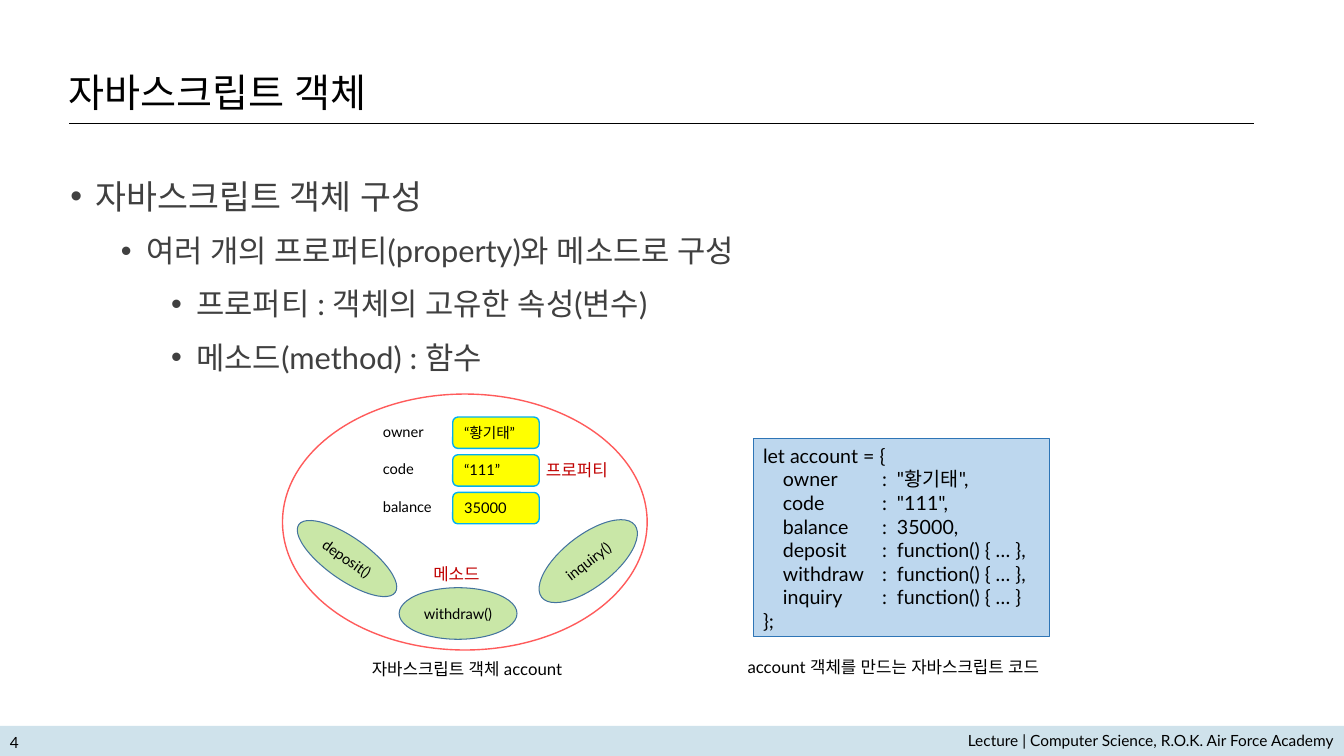
"""Build the slide that explains how a JavaScript object is composed."""
from dataclasses import dataclass
from typing import Any, Optional

import lxml.etree
import pptx
import pptx.dml.color
import pptx.enum.lang
import pptx.enum.shapes
import pptx.enum.text
import pptx.oxml.ns
import pptx.util

Cm = pptx.util.Cm
Pt = pptx.util.Pt
SHAPE = pptx.enum.shapes.MSO_SHAPE
ALIGN = pptx.enum.text.PP_ALIGN
ANCHOR = pptx.enum.text.MSO_ANCHOR
qn = pptx.oxml.ns.qn

FONT = "Lato"
COLORS = {
    "black": "000000", "body": "404040", "red": "C00000", "band": "CFE2EB",
    "code": "BDD7EE", "code_line": "2E75B6", "method": "C9E7A7",
    "method_line": "43739E", "object_line": "FF5B5B",
    "value": "FFFF00", "value_line": "00B0F0",
}
CODE = """let account = {
\towner\t:  "황기태",
\tcode\t:  "111",
\tbalance\t:  35000,
\tdeposit\t:  function() { … },
\twithdraw\t:  function() { … },
\tinquiry\t:  function() { … }
};"""


@dataclass
class Bullet:
    text: str
    level: int
    size: float
    before: float


@dataclass
class Label:
    text: str
    box: tuple[float, float, float, float]
    size: float = 12
    color: str = "black"
    align: Any = ALIGN.LEFT
    anchor: Any = ANCHOR.TOP
    wrap: bool = False


@dataclass
class Method:
    text: str
    box: tuple[float, float, float, float]
    rotation: float = 0


@dataclass
class Property:
    name: str
    value: str


BULLETS = [
    Bullet("자바스크립트 객체 구성", 0, 24, 10),
    Bullet("여러 개의 프로퍼티(property)와 메소드로 구성", 1, 22, 5),
    Bullet("프로퍼티 : 객체의 고유한 속성(변수)", 2, 22, 5),
    Bullet("메소드(method) : 함수", 2, 22, 5),
]
LABELS = [
    Label("Lecture | Computer Science, R.O.K. Air Force Academy",
          (1.93, 18.29, 31.94, 0.71), 11, align=ALIGN.RIGHT, wrap=True),
    Label("4", (0, 18.39, 1.93, 0.61), 11, anchor=ANCHOR.MIDDLE, wrap=True),
    Label("자바스크립트 객체 account", (9.12, 16.48, 5.54, 0.74)),
    Label("프로퍼티", (13.51, 11.46, 2.24, 0.76), color="red"),
    Label("메소드", (10.67, 14.07, 1.8, 0.76), color="red"),
    Label("account 객체를 만드는 자바스크립트 코드",
          (18.59, 16.43, 8.79, 0.74), wrap=True),
]
METHODS = [
    Method("deposit()", (7.26, 13.54, 2.97, 1.07), 35.1),
    Method("withdraw()", (10.06, 14.81, 2.97, 1.3)),
    Method("inquiry()", (13.34, 13.49, 2.97, 1.3), 322.2),
]
PROPERTIES = [Property("owner", "“황기태”"), Property("code", "“111”"),
              Property("balance", "35000")]


def rgb(name: str) -> pptx.dml.color.RGBColor:
    """Look up a named colour."""
    return pptx.dml.color.RGBColor.from_string(COLORS[name])


def write(p: Any, text: str, *, size: float, color: str = "black",
          align: Any = ALIGN.LEFT) -> None:
    """Write one formatted run into a paragraph."""
    p.alignment = align
    r = p.add_run()
    r.text = text
    r.font.name = FONT
    r.font.size = Pt(size)
    r.font.color.rgb = rgb(color)
    r.font.language_id = pptx.enum.lang.MSO_LANGUAGE_ID.KOREAN
    lxml.etree.SubElement(r._r.get_or_add_rPr(), qn("a:ea"), typeface=FONT)


def indent(p: Any, left: float, first: float, bullet: str = "") -> None:
    """Set paragraph indents and the bullet character."""
    pPr = p._p.get_or_add_pPr()
    pPr.set("marL", str(Cm(left)))
    pPr.set("indent", str(Cm(first)))
    if bullet:
        lxml.etree.SubElement(pPr, qn("a:buChar"), char=bullet)
    else:
        lxml.etree.SubElement(pPr, qn("a:buNone"))


def place(sp: Any, box: tuple[float, float, float, float]) -> None:
    """Move and size a shape in centimetres."""
    sp.left, sp.top, sp.width, sp.height = map(Cm, box)


def add_shape(s: Any, kind: Any, box: tuple[float, float, float, float],
              fill: Optional[str] = None, line: Optional[str] = None,
              width: float = 0.75) -> Any:
    """Add a flat shape with an optional fill and outline."""
    sp = s.shapes.add_shape(kind, *map(Cm, box))
    sp.shadow.inherit = False
    if fill:
        sp.fill.solid()
        sp.fill.fore_color.rgb = rgb(fill)
    else:
        sp.fill.background()
    if line:
        sp.line.color.rgb = rgb(line)
        sp.line.width = Pt(width)
    else:
        sp.line.fill.background()
    sp.text_frame.vertical_anchor = ANCHOR.TOP
    return sp


def add_rule(s: Any, left: float, right: float, y: float) -> None:
    """Add a thin horizontal rule."""
    c = s.shapes.add_connector(pptx.enum.shapes.MSO_CONNECTOR.STRAIGHT,
                               Cm(left), Cm(y), Cm(right), Cm(y))
    c.line.color.rgb = rgb("black")
    c.line.width = Pt(0.5)
    lxml.etree.SubElement(c._element.spPr, qn("a:effectLst"))


def add_label(s: Any, label: Label) -> None:
    """Add a text box."""
    tf = s.shapes.add_textbox(*map(Cm, label.box)).text_frame
    tf.word_wrap = label.wrap
    tf.vertical_anchor = label.anchor
    write(tf.paragraphs[0], label.text, size=label.size, color=label.color,
          align=label.align)


def fill_placeholders(s: Any) -> None:
    """Fill the title and the bullet list."""
    title, body = s.shapes.title, s.placeholders[1]
    place(title, (1.55, 1.85, 29.97, 1.07))
    place(body, (1.52, 4.04, 30.02, 13.11))
    tf = title.text_frame
    tf.margin_left = tf.margin_right = tf.margin_top = tf.margin_bottom = 0
    tf.vertical_anchor = ANCHOR.MIDDLE
    p = tf.paragraphs[0]
    p.line_spacing = 0.9
    indent(p, 0, 0.18)
    write(p, "자바스크립트 객체", size=28)
    tf = body.text_frame
    tf.auto_size = title.text_frame.auto_size = pptx.enum.text.MSO_AUTO_SIZE.NONE
    for i, b in enumerate(BULLETS):
        p = tf.add_paragraph() if i else tf.paragraphs[0]
        p.level = b.level
        p.line_spacing = 1.25
        p.space_before = Pt(b.before)
        indent(p, 0.64 + 1.27 * b.level, -0.64, "•")
        write(p, b.text, size=b.size, color="body")


def add_code(s: Any) -> None:
    """Add the code listing, aligned by tab stops."""
    tf = add_shape(s, SHAPE.RECTANGLE, (18.98, 11.06, 7.47, 4.98), "code", "code_line").text_frame
    for i, text in enumerate(CODE.split("\n")):
        p = tf.add_paragraph() if i else tf.paragraphs[0]
        tabs = lxml.etree.SubElement(p._p.get_or_add_pPr(), qn("a:tabLst"))
        for stop in (0.5, 3):
            lxml.etree.SubElement(tabs, qn("a:tab"), pos=str(Cm(stop)), algn="l")
        write(p, text, size=14)


def add_object(s: Any) -> None:
    """Draw the account object with its methods and properties."""
    add_shape(s, SHAPE.OVAL, (7.12, 9.93, 9.19, 6.45), line="object_line", width=1)
    for m in METHODS:
        sp = add_shape(s, SHAPE.OVAL, m.box, "method", "method_line")
        sp.rotation = m.rotation
        tf = sp.text_frame
        tf.margin_left = tf.margin_right = Cm(0.1)
        tf.vertical_anchor = ANCHOR.MIDDLE
        write(tf.paragraphs[0], m.text, size=10.5, align=ALIGN.CENTER)
    for i, prop in enumerate(PROPERTIES):
        y = 10.51 + 0.95 * i
        add_label(s, Label(prop.name, (9.4, y + 0.01, 2.18, 0.79), 10.5, wrap=True))
        sp = add_shape(s, SHAPE.ROUNDED_RECTANGLE, (11.41, y, 2.18, 0.79), "value", "value_line", 1)
        sp.text_frame.margin_right = 0
        write(sp.text_frame.paragraphs[0], prop.value, size=10.5)


def main() -> None:
    """Build and save the slide."""
    prs = pptx.Presentation()
    prs.slide_width, prs.slide_height = Cm(33.87), Cm(19.05)
    s = prs.slides.add_slide(prs.slide_layouts[1])
    add_shape(s, SHAPE.RECTANGLE, (0, 18.29, 33.87, 0.76), "band")
    add_rule(s, 1.85, 31.6, 3.1)
    add_rule(s, 1.75, 31.57, 3.12)
    fill_placeholders(s)
    add_code(s)
    add_object(s)
    for label in LABELS:
        add_label(s, label)
    prs.save("out.pptx")


if __name__ == "__main__":
    main()
